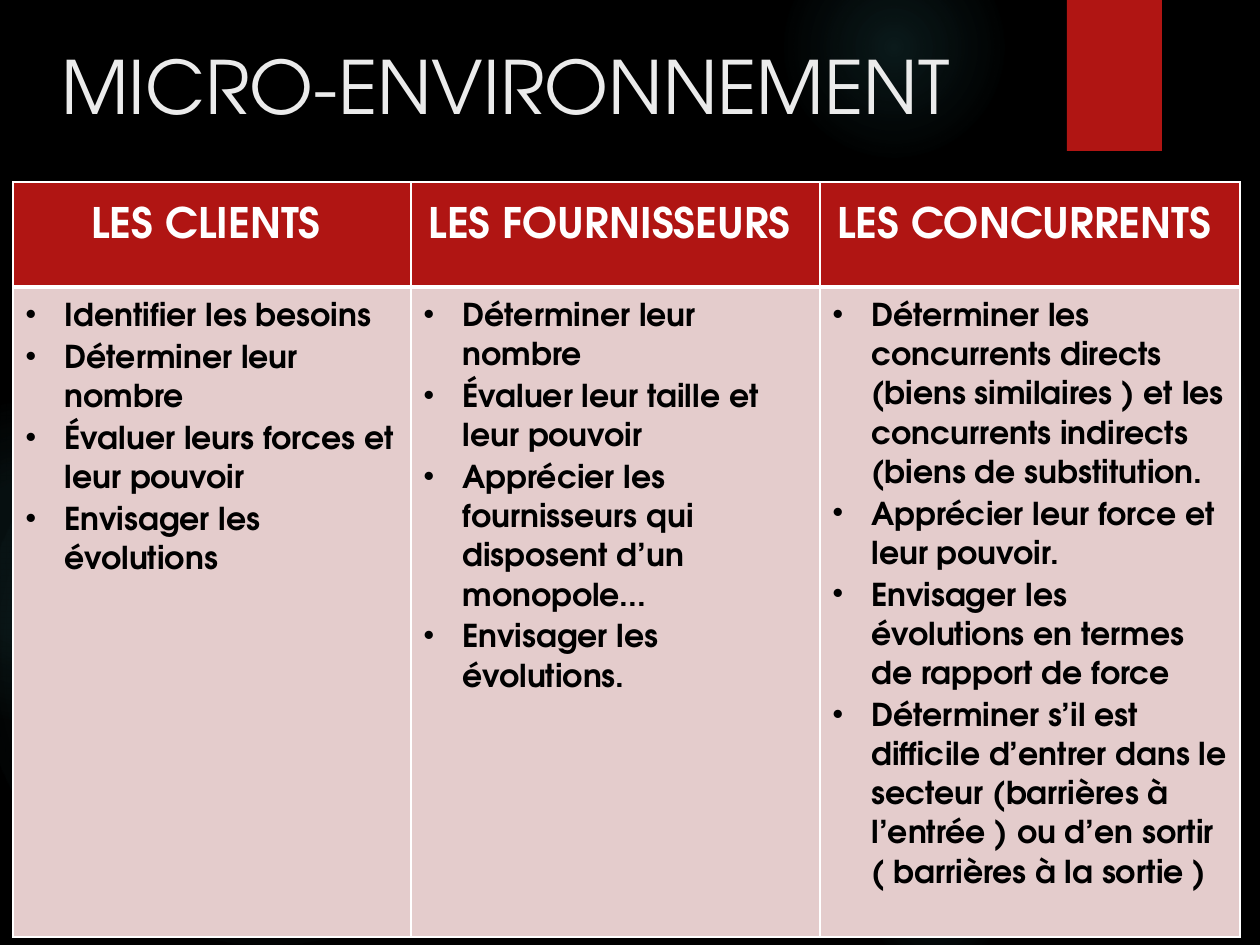
from lxml.etree import SubElement
from pptx import Presentation
from pptx.dml.color import RGBColor
from pptx.enum.shapes import MSO_SHAPE
from pptx.enum.text import MSO_ANCHOR, PP_ALIGN
from pptx.oxml import parse_xml
from pptx.oxml.ns import nsdecls, qn
from pptx.util import Pt

BLACK = RGBColor(0, 0, 0)
WHITE = RGBColor(255, 255, 255)
PALE = RGBColor(0xEB, 0xEB, 0xEB)
RED = RGBColor(0xB0, 0x15, 0x13)
ROSE = RGBColor(0xE4, 0xCC, 0xCC)
TEAL = RGBColor(0x50, 0xB9, 0xC1)
FONT = "TeX Gyre Adventor"

TITLE = "MICRO-ENVIRONNEMENT"
GROUPS = [
    ("LES CLIENTS ", 398, [
        "Identifier les besoins",
        "Déterminer leur nombre",
        "Évaluer leurs forces et leur pouvoir",
        "Envisager les évolutions",
    ]),
    ("LES FOURNISSEURS ", 409, [
        "Déterminer leur nombre",
        "Évaluer leur taille et leur pouvoir",
        "Apprécier les fournisseurs qui disposent d’un monopole...",
        "Envisager les évolutions.",
    ]),
    ("LES CONCURRENTS ", 420, [
        "Déterminer les concurrents directs (biens similaires ) et les "
        "concurrents indirects (biens de substitution.",
        "Apprécier leur force et leur pouvoir.",
        "Envisager les évolutions en termes de rapport de force",
        "Déterminer s’il est difficile d’entrer dans le secteur (barrières à "
        "l’entrée ) ou d’en sortir ( barrières à la sortie )",
    ]),
]
ROWS = [105, 650]
GLOWS = [
    (868, 231, 388, [(0, 7), (36, 6), (69, 0)]),
    (784, -63, 220, [(0, 14), (36, 7), (73, 0)]),
    (868, 840, 136, [(0, 9), (36, 5), (66, 0)]),
    (-21, 368, 577, [(0, 11), (36, 10), (75, 0)]),
    (-116, 399, 325, [(0, 8), (36, 8), (72, 0)]),
]
HEAD = dict(size=Pt(24), name=FONT, bold=True)
BODY = dict(size=Pt(18), name=FONT, bold=True)
TOP = dict(size=Pt(42), name=FONT, bold=False)


def px(n):
    return round(n * 914400 / 126)


def put(obj, vals):
    for key, val in vals.items():
        setattr(obj, key, val)


def write(para, text, form, color):
    run = para.add_run()
    run.text = text
    put(run.font, form)
    run.font.color.rgb = color


def shape(kind, *box):
    item = deck.shapes.add_shape(kind, *map(px, box))
    item.shadow.inherit = False
    item.line.fill.background()
    return item


def glow(x, y, size, stops):
    item = shape(MSO_SHAPE.OVAL, x, y, size, size)
    marks = "".join(
        f'<a:gs pos="{pos * 1000}"><a:srgbClr val="{TEAL}">'
        f'<a:alpha val="{alpha * 1000}"/></a:srgbClr></a:gs>'
        for pos, alpha in stops)
    grad = parse_xml(
        f'<a:gradFill {nsdecls("a")}><a:gsLst>{marks}</a:gsLst>'
        '<a:path path="circle"><a:fillToRect l="50000" t="50000" '
        'r="50000" b="50000"/></a:path></a:gradFill>')
    item._element.spPr.find(qn("a:prstGeom")).addnext(grad)


def edge(cell, base):
    props = cell._tc.get_or_add_tcPr()
    widths = dict(L=1, R=1, T=1, B=base)
    for spot, (side, width) in enumerate(widths.items()):
        props.insert(spot, parse_xml(
            f'<a:ln{side} {nsdecls("a")} w="{Pt(width)}"><a:solidFill>'
            f'<a:srgbClr val="{WHITE}"/></a:solidFill></a:ln{side}>'))


def paint(cell, color, base):
    cell.fill.solid()
    cell.fill.fore_color.rgb = color
    edge(cell, base)


def bullet(para):
    props = para._p.get_or_add_pPr()
    put(para, dict(line_spacing=Pt(22.4), space_after=Pt(1.5)))
    props.set("marL", str(px(39)))
    props.set("indent", str(-px(39)))
    SubElement(props, qn("a:buChar")).set("char", "•")


show = Presentation()
put(show, dict(slide_width=px(1260), slide_height=px(945)))
deck = show.slides.add_slide(show.slide_layouts[6])
deck.background.fill.solid()
deck.background.fill.fore_color.rgb = BLACK

for spec in GLOWS:
    glow(*spec)

flag = shape(MSO_SHAPE.RECTANGLE, 1067, 0, 95, 151)
flag.fill.solid()
flag.fill.fore_color.rgb = RED
shade = SubElement(flag._element.spPr.find(qn("a:effectLst")), qn("a:outerShdw"))
for key, val in dict(blurRad=Pt(3), dist=Pt(2), dir=5400000, rotWithShape=0).items():
    shade.set(key, str(val))
tint = SubElement(shade, qn("a:srgbClr"), val=str(BLACK))
SubElement(tint, qn("a:alpha"), val="45000")

frame = deck.shapes.add_textbox(*map(px, (49, 35, 973, 126))).text_frame
put(frame, dict(word_wrap=True, vertical_anchor=MSO_ANCHOR.TOP))
write(frame.paragraphs[0], TITLE, TOP, PALE)

wide = sum(width for _, width, _ in GROUPS)
grid = deck.shapes.add_table(
    len(ROWS), len(GROUPS), *map(px, (13, 182, wide, sum(ROWS)))).table
for row, tall in zip(grid.rows, ROWS):
    row.height = px(tall)
for col, (name, width, points) in enumerate(GROUPS):
    grid.columns[col].width = px(width)
    head, body = grid.cell(0, col), grid.cell(1, col)
    paint(head, RED, 3)
    paint(body, ROSE, 1)
    para = head.text_frame.paragraphs[0]
    put(para, dict(alignment=PP_ALIGN.CENTER, line_spacing=1.5))
    write(para, name, HEAD, WHITE)
    text = body.text_frame
    for spot, point in enumerate(points):
        para = text.add_paragraph() if spot else text.paragraphs[0]
        bullet(para)
        write(para, point, BODY, BLACK)

show.save("out.pptx")
